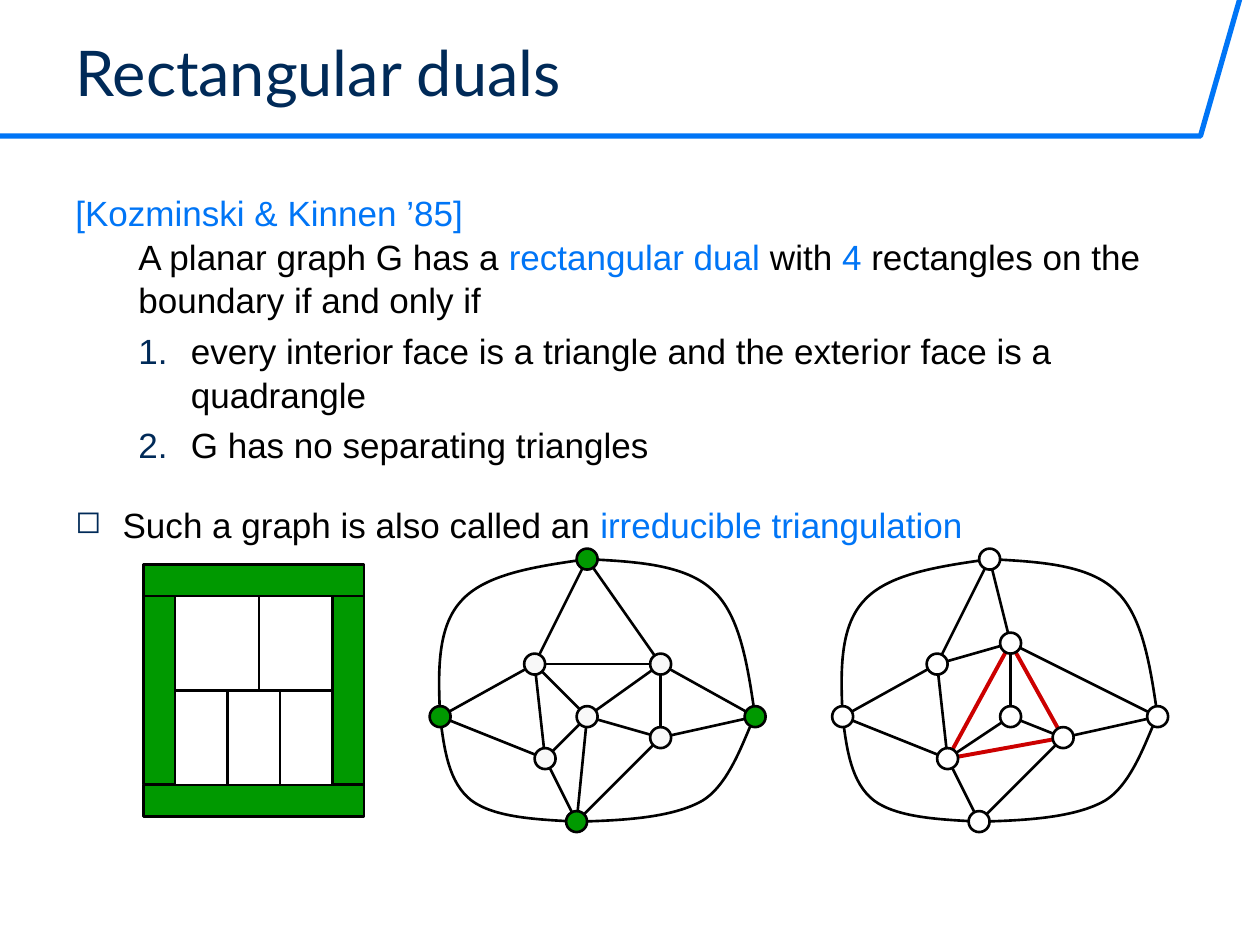
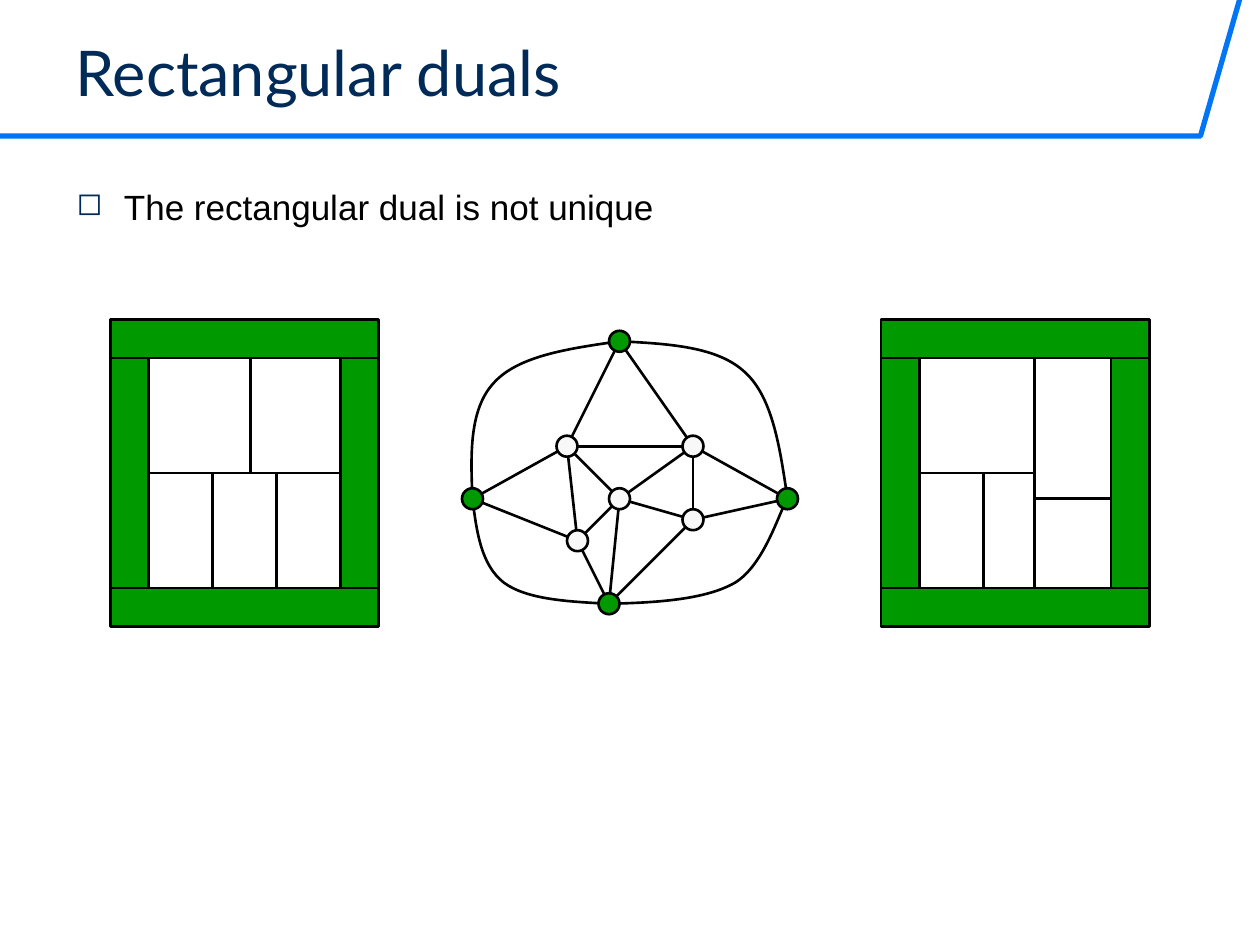
from lxml import etree
from pptx import Presentation
from pptx.dml.color import RGBColor
from pptx.enum import shapes as kinds, text as txt
from pptx.oxml.ns import qn
from pptx.util import Pt

BLUE, NAVY, GREEN, RED = "0075F6", "002A58", "009900", "CC0000"
BLACK, WHITE, PALE = "000000", "FFFFFF", "F8F8F8"

FRAME = [(0, 0, 21, 3), (0, 3, 3, 18), (18, 3, 3, 18), (0, 21, 21, 3)]
EVEN = [(3, 12, 5, 9), (8, 12, 5, 9), (13, 12, 5, 9), (11, 3, 7, 9), (3, 3, 8, 9)]
MIXED = [(3, 12, 5, 9), (8, 12, 4, 9), (12, 14, 6, 7), (12, 3, 6, 11), (3, 3, 9, 9)]

NODES = {"n": (14, 0), "w": (0, 15), "e": (30, 15), "s": (13, 25), "a": (9, 10),
         "b": (21, 10), "c": (14, 15), "d": (21, 17), "f": (10, 19)}
NESTED = {**NODES, "b": (16, 8), "c": (16, 15)}
EDGES = "sf sc aw wf an nb ds de eb cf fa ca ba bc cd db".split()
INNER = "sf fa aw wf cf an nb ba bc cd ds de eb".split()
CYCLE = "fd bf db".split()
ARCS = [
    [(13, 25), (17.6, 24.9), (22.2, 24.6), (25, 23), (27.8, 21.3), (29.2, 16.3), (30, 15)],
    [(30, 15), (29.3, 10.2), (28.6, 5.4), (26, 3), (23.4, 0.5), (18.7, 0.25), (14, 0)],
    [(14, 0), (9.1, 0.7), (4.3, 1.4), (2, 4), (-0.3, 6.5), (-0.2, 10.75), (0, 15)],
    [(0, 15), (0.4, 18.1), (0.8, 21.3), (3, 23), (5.2, 24.6), (9.1, 24.8), (13, 25)],
]


def color(code):
    return RGBColor.from_string(code)


def stroke(item, code=BLACK, width=1.5):
    item.line.color.rgb = color(code)
    item.line.width = Pt(width)


def block(slide, kind, box, fill):
    item = slide.shapes.add_shape(kind, *map(Pt, box))
    item.shadow.inherit = False
    item.fill.solid()
    item.fill.fore_color.rgb = color(fill)
    stroke(item)


def trace(slide, points, code=BLACK, width=1.5):
    start, *rest = [(Pt(x), Pt(y)) for x, y in points]
    pen = slide.shapes.build_freeform(*start)
    pen.add_line_segments(rest, close=False)
    item = pen.convert_to_shape()
    item.shadow.inherit = False
    item.fill.background()
    stroke(item, code, width)
    return item


def bend(item):
    steps = list(item.element.iter(qn("a:lnTo")))
    for i in range(0, len(steps), 3):
        curve = etree.Element(qn("a:cubicBezTo"))
        steps[i].addprevious(curve)
        for step in steps[i:i + 3]:
            curve.append(step[0])
            step.getparent().remove(step)


def edge(slide, start, end, code, width):
    line = slide.shapes.add_connector(
        kinds.MSO_CONNECTOR.STRAIGHT, *map(Pt, (*start, *end)))
    stroke(line, code, width)
    etree.SubElement(line.element.spPr, qn("a:effectLst"))


def dual(slide, left, top, unit, cells):
    for group, fill in ((cells, WHITE), (FRAME, GREEN)):
        for x, y, w, h in group:
            box = (left + x * unit, top + y * unit, w * unit, h * unit)
            block(slide, kinds.MSO_SHAPE.RECTANGLE, box, fill)


def graph(slide, left, top, nodes, edges, outer, inner, marked=()):
    unit = 6

    def place(spot):
        return left + spot[0] * unit, top + spot[1] * unit

    for pairs, code, width in ((marked, RED, 2.25), (edges, BLACK, 1.5)):
        for start, end in pairs:
            edge(slide, place(nodes[start]), place(nodes[end]), code, width)
    for arc in ARCS:
        bend(trace(slide, map(place, arc)))
    for name, spot in nodes.items():
        x, y = place(spot)
        box = (x - unit, y - unit, 2 * unit, 2 * unit)
        block(slide, kinds.MSO_SHAPE.OVAL, box, outer if name in "news" else inner)


def textbox(slide, box):
    frame = slide.shapes.add_textbox(*map(Pt, box)).text_frame
    frame.word_wrap = True
    return frame


def header(slide, title):
    trace(slide, [(0, 77.8), (686, 77.8), (708.5, -0.7)], BLUE, 3)
    frame = textbox(slide, (36, 15, 668, 51))
    frame.vertical_anchor = txt.MSO_ANCHOR.BOTTOM
    para = frame.paragraphs[0]
    para.text = title
    para.font.name, para.font.size = "Lato", Pt(36)
    para.font.color.rgb = color(NAVY)


def bullet(para, mark):
    props = para._p.get_or_add_pPr()
    tint = etree.SubElement(props, qn("a:buClr"))
    etree.SubElement(tint, qn("a:srgbClr"), val=NAVY)
    if mark == "1.":
        etree.SubElement(props, qn("a:buAutoNum"), type="arabicPeriod")
    else:
        etree.SubElement(props, qn("a:buSzPct"), val="90000")
        etree.SubElement(props, qn("a:buChar"), char=mark)


def body(slide, box, items):
    frame = textbox(slide, box)
    for i, (margin, hang, gap, mark, runs) in enumerate(items):
        para = frame.add_paragraph() if i else frame.paragraphs[0]
        para.line_spacing = 1.04
        para.space_before = Pt(gap)
        props = para._p.get_or_add_pPr()
        props.set("marL", str(Pt(margin)))
        props.set("indent", str(Pt(-hang)))
        if mark:
            bullet(para, mark)
        para.font.name, para.font.size = "Arial", Pt(20)
        for words, code in runs:
            run = para.add_run()
            run.text = words
            run.font.color.rgb = color(code)


def theorem(slide):
    header(slide, "Rectangular duals")
    body(slide, (36, 105, 665, 178), [
        (0, 0, 0, None, [("[Kozminski & Kinnen ’85]", BLUE)]),
        (36, 0, 0, None, [
            ("A planar graph G has a ", BLACK), ("rectangular dual", BLUE),
            (" with ", BLACK), ("4", BLUE),
            (" rectangles on the boundary if and only if", BLACK)]),
        (66, 30, 4, "1.", [("every interior face is a triangle and the exterior "
                            "face is a quadrangle", BLACK)]),
        (66, 30, 4, "1.", [("G has no separating triangles", BLACK)]),
        (27, 27, 20.6, "◻", [("Such a graph is also called an ", BLACK),
                             ("irreducible triangulation", BLUE)]),
    ])
    dual(slide, 82, 322.5, 6, EVEN)
    graph(slide, 251.5, 319.5, NODES, EDGES, GREEN, PALE)
    graph(slide, 481.5, 319.5, NESTED, INNER, WHITE, WHITE, CYCLE)


def choice(slide):
    header(slide, "Rectangular duals")
    body(slide, (36.7, 101.5, 647, 396), [
        (27, 27, 0, "◻", [("The rectangular dual is not unique", BLACK)])])
    dual(slide, 63, 182.7, 7.3, EVEN)
    dual(slide, 503.5, 182.7, 7.3, MIXED)
    graph(slide, 270, 195, NODES, EDGES, GREEN, PALE)


def main():
    deck = Presentation()
    deck.slide_width, deck.slide_height = Pt(720), Pt(540)
    for build in (theorem, choice):
        build(deck.slides.add_slide(deck.slide_layouts[6]))
    deck.save("out.pptx")


if __name__ == "__main__":
    main()
